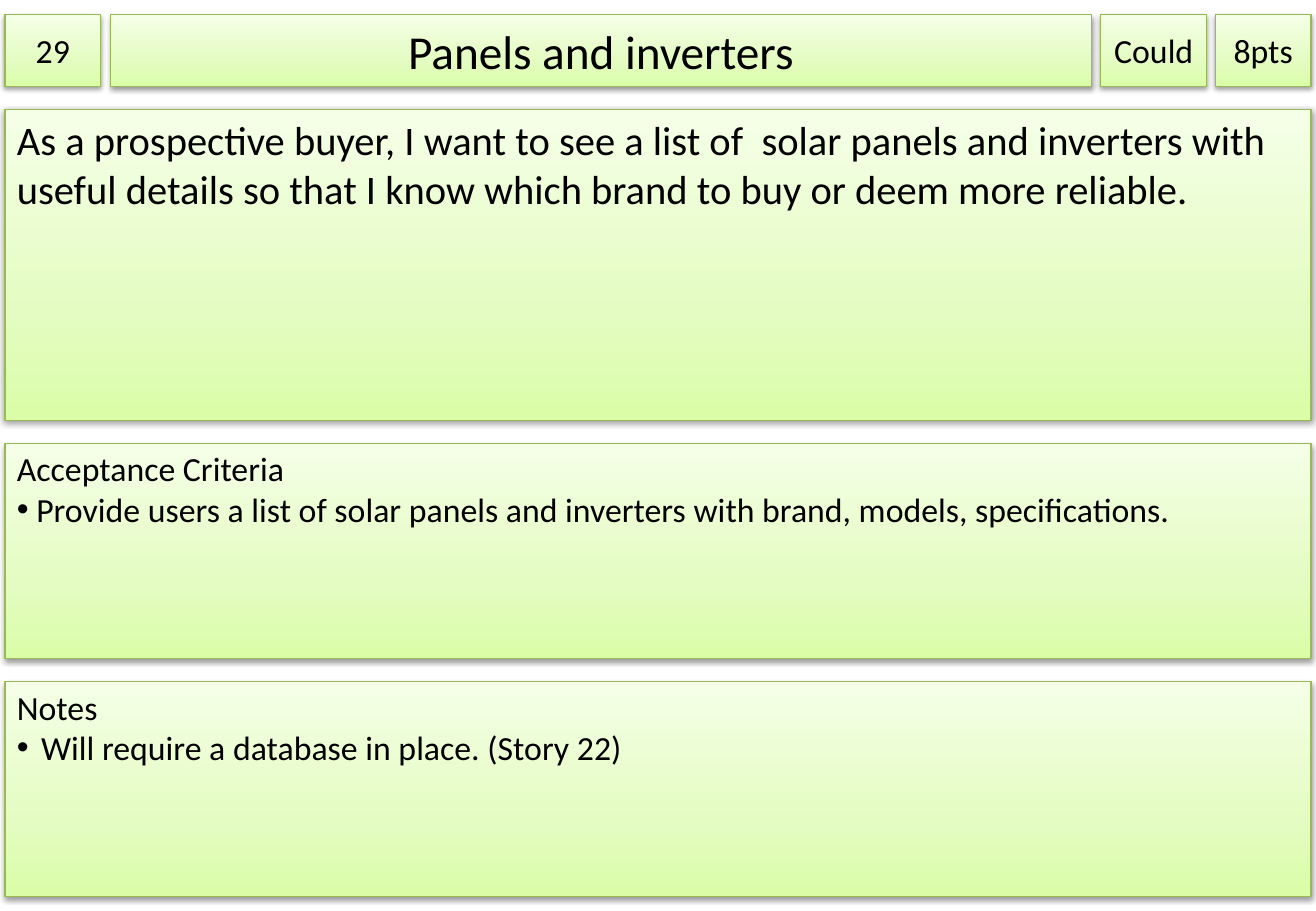
from copy import deepcopy

from lxml import etree
from pptx import Presentation
from pptx.dml.color import RGBColor
from pptx.enum.shapes import MSO_SHAPE
from pptx.enum.text import MSO_ANCHOR, MSO_AUTO_SIZE, PP_ALIGN
from pptx.oxml.ns import qn
from pptx.util import Pt

PX = 9144
RECT = MSO_SHAPE.RECTANGLE
TOP, MIDDLE = MSO_ANCHOR.TOP, MSO_ANCHOR.MIDDLE
LEFT, CENTER = PP_ALIGN.LEFT, PP_ALIGN.CENTER
NO_FIT = MSO_AUTO_SIZE.NONE
TITLE_ONLY = 5


def px(n):
    return n * PX


def rgb(value):
    return RGBColor.from_string(value)


class StoryCard:
    """Green cards of a user story on one slide."""

    font = "Calibri"
    ink = "000000"
    border = "98B955"
    stops = [(0, "DAFDA7"), (0.35, "E4FCC2"), (1, "F5FFE7")]

    def __init__(self, prs):
        self.slide = prs.slides.add_slide(prs.slide_layouts[TITLE_ONLY])

    def paint(self, s):
        s.fill.gradient()
        gs_list = s._element.spPr.find(".//" + qn("a:gsLst"))
        gs_list.append(deepcopy(gs_list[0]))
        for stop, (position, color) in zip(s.fill.gradient_stops, self.stops):
            stop.color.rgb = rgb(color)
            stop.position = position
        s.fill.gradient_angle = 90
        s.line.color.rgb = rgb(self.border)
        s.line.width = Pt(0.75)
        s.shadow.inherit = False
        effects = s._element.spPr.find(qn("a:effectLst"))
        shadow = etree.SubElement(effects, qn("a:outerShdw"), blurRad="40000",
                                  dist="20000", dir="5400000", rotWithShape="0")
        black = etree.SubElement(shadow, qn("a:srgbClr"), val="000000")
        etree.SubElement(black, qn("a:alpha"), val="38000")

    def add_text(self, p, text, size, align, indent=0):
        p.alignment = align
        if indent:
            pPr = p._p.get_or_add_pPr()
            pPr.set("marL", str(px(indent)))
            pPr.set("indent", str(-px(indent)))
            etree.SubElement(pPr, qn("a:buFont"), typeface="Arial")
            etree.SubElement(pPr, qn("a:buChar"), char="•")
        r = p.add_run()
        r.text = text
        for name, value in {"name": self.font, "size": Pt(size)}.items():
            setattr(r.font, name, value)
        r.font.color.rgb = rgb(self.ink)

    def fill_frame(self, s, text, size, align, anchor, margins, wrap=True):
        tf = s.text_frame
        side, top = margins
        style = {"margin_left": px(side), "margin_right": px(side),
                 "margin_top": px(top), "margin_bottom": px(5),
                 "vertical_anchor": anchor, "word_wrap": wrap,
                 "auto_size": NO_FIT}
        for name, value in style.items():
            setattr(tf, name, value)
        self.add_text(tf.paragraphs[0], text, size, align)

    def box(self, x, y, w, h):
        s = self.slide.shapes.add_shape(RECT, px(x), px(y), px(w), px(h))
        self.paint(s)
        return s

    def title(self, x, y, w, h, text):
        s = self.slide.shapes.title
        s.left, s.top, s.width, s.height = px(x), px(y), px(w), px(h)
        self.paint(s)
        self.fill_frame(s, text, 28, CENTER, MIDDLE, (10, 5))

    def badge(self, x, y, w, h, text, wrap=True):
        s = self.box(x, y, w, h)
        self.fill_frame(s, text, 20, CENTER, MIDDLE, (0, 5), wrap)

    def panel(self, x, y, w, h, heading, size, top, bullet="", indent=0):
        s = self.box(x, y, w, h)
        self.fill_frame(s, heading, size, LEFT, TOP, (10, top))
        if bullet:
            self.add_text(s.text_frame.add_paragraph(), bullet, size, LEFT, indent)


def main():
    prs = Presentation()
    prs.slide_width, prs.slide_height = px(1083), px(750)
    card = StoryCard(prs)

    card.badge(4, 12, 79, 59, "29")
    card.title(91, 12, 807, 59, "Panels and inverters")
    card.badge(906, 12, 87, 59, "Could", wrap=False)
    card.badge(1000, 12, 79, 59, "8pts")

    panels = [
        (256, "As a prospective buyer, I want to see a list of  solar panels and "
              "inverters with useful details so that I know which brand to buy "
              "or deem more reliable.", 24, 5),
        (177, "Acceptance Criteria", 20, 4,
         "Provide users a list of solar panels and inverters with brand, "
         "models, specifications.", 16),
        (177, "Notes", 20, 4, "Will require a database in place. (Story 22)", 20),
    ]
    y, gap = 90, 19
    for height, *content in panels:
        card.panel(4, y, 1075, height, *content)
        y += height + gap

    prs.save("out.pptx")


if __name__ == "__main__":
    main()
